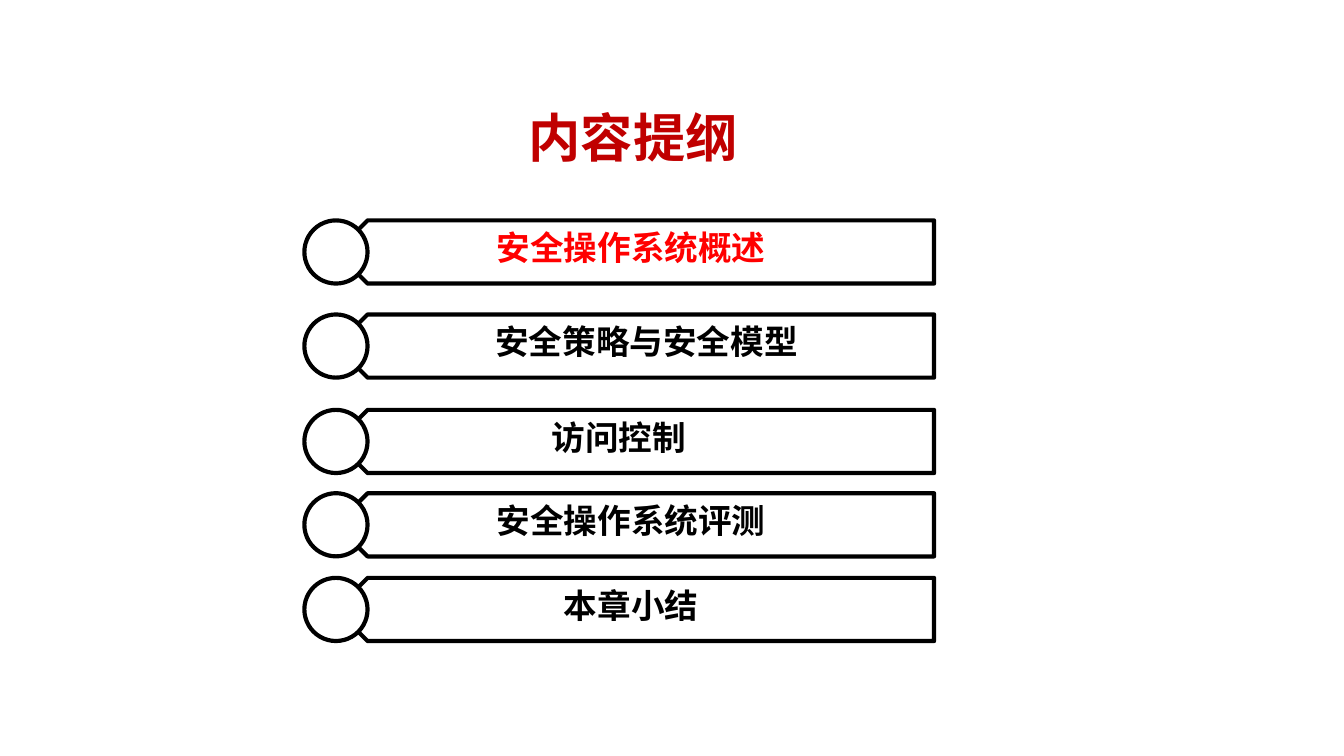
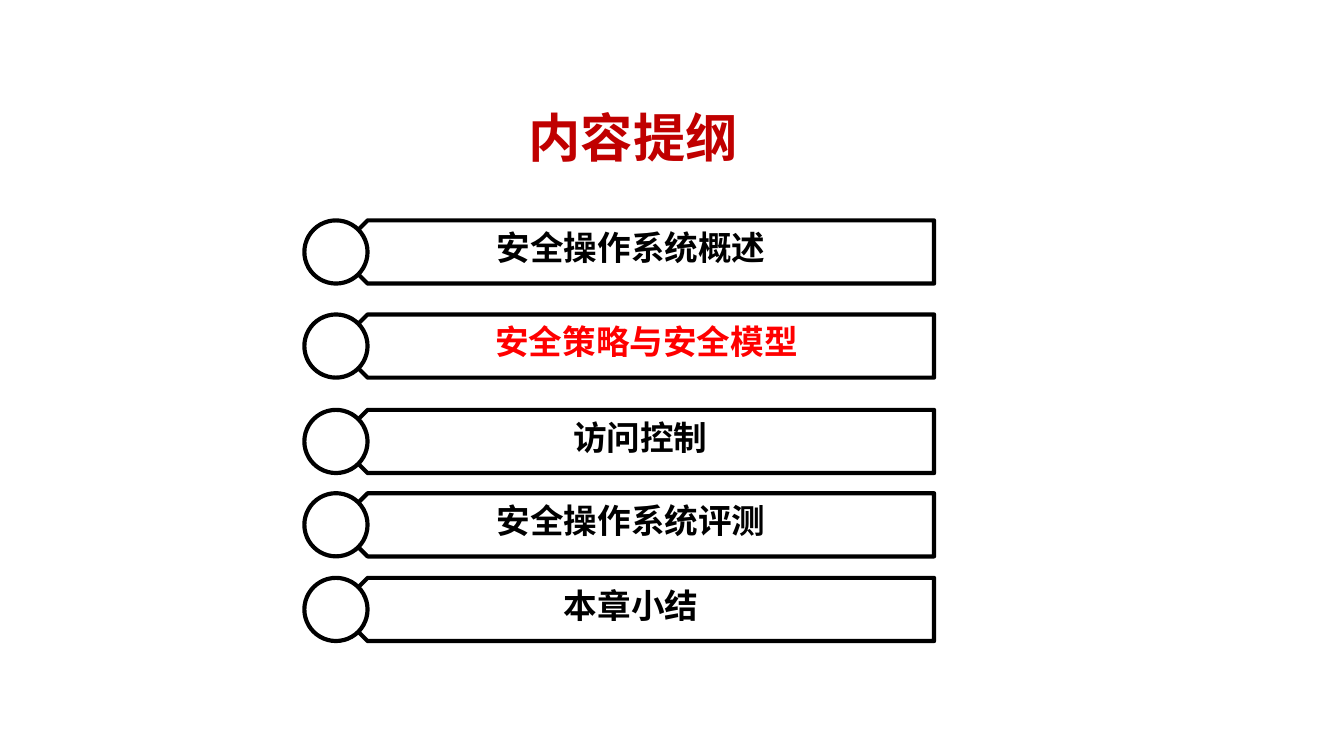
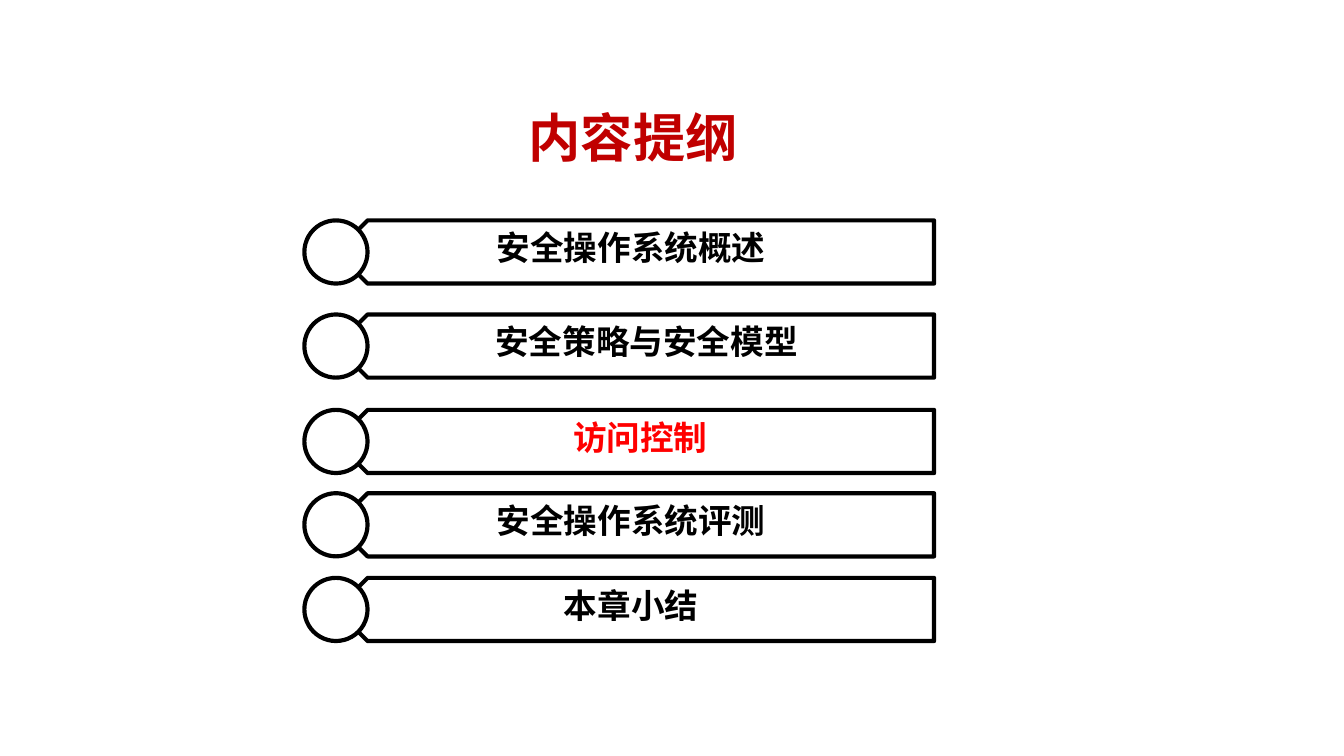
from dataclasses import dataclass

from lxml.etree import SubElement
from pptx import Presentation
from pptx.dml.color import RGBColor
from pptx.enum.shapes import MSO_SHAPE as Shape
from pptx.enum.text import MSO_ANCHOR as Anchor
from pptx.enum.text import MSO_AUTO_SIZE as AutoSize
from pptx.enum.text import PP_ALIGN as Align
from pptx.oxml.ns import qn
from pptx.util import Inches, Pt

WHITE = "FFFFFF"
BLACK = "000000"
TITLE_RED = "C00000"
CURRENT_RED = "FF0000"
TITLE_FONT = "Arial"
LABEL_FONT = "Noto Sans CJK SC"

BAND_LEFT = 2.5
BAND_WIDTH = 4.45
BAND_HEIGHT = 0.47
LABEL_HEIGHT = 0.4


@dataclass(frozen=True)
class Topic:
    text: str
    top: float
    label_left: float = 3.52
    label_width: float = 2.35


TOPICS = [
    Topic("安全操作系统概述", 1.64),
    Topic("安全策略与安全模型", 2.34, label_width=2.58),
    Topic("访问控制", 3.05, 3.28, 2.97),
    Topic("安全操作系统评测", 3.67),
    Topic("本章小结", 4.3),
]
# The opening outline sets its third label slightly further left.
OPENING_TOPICS = [*TOPICS[:2], Topic("访问控制", 3.05, 3.12, 2.97), *TOPICS[3:]]
OUTLINES = [OPENING_TOPICS, TOPICS, TOPICS]


def color(value: str) -> RGBColor:
    return RGBColor.from_string(value)


def add_outlined(page, kind: Shape, left: float, top: float, width: float):
    shape = page.shapes.add_shape(
        kind, Inches(left), Inches(top), Inches(width), Inches(BAND_HEIGHT)
    )
    shape.shadow.inherit = False
    shape.fill.solid()
    shape.fill.fore_color.rgb = color(WHITE)
    shape.line.color.rgb = color(BLACK)
    shape.line.width = Pt(2.25)
    return shape


def add_text(page, text: str, left: float, top: float, width: float, height: float,
             size: int, font_name: str, font_color: str):
    """Add one centred bold line and return its text frame."""
    box = page.shapes.add_textbox(Inches(left), Inches(top), Inches(width), Inches(height))
    frame = box.text_frame
    frame.word_wrap = True
    para = frame.paragraphs[0]
    para.alignment = Align.CENTER
    span = para.add_run()
    span.text = text
    font = span.font
    font.size = Pt(size)
    font.bold = True
    font.color.rgb = color(font_color)
    font.name = font_name
    if font_name == LABEL_FONT:
        SubElement(span._r.get_or_add_rPr(), qn("a:ea")).set("typeface", font_name)
    return frame


def add_title(page) -> None:
    frame = add_text(page, "内容提纲", 1.64, 0.55, 6.14, 0.94, 28, TITLE_FONT, TITLE_RED)
    frame.vertical_anchor = Anchor.MIDDLE


def add_topic(page, topic: Topic, is_current: bool) -> None:
    band = add_outlined(page, Shape.PENTAGON, BAND_LEFT, topic.top, BAND_WIDTH)
    band.rotation = 180
    add_outlined(page, Shape.OVAL, BAND_LEFT - BAND_HEIGHT / 2, topic.top, BAND_HEIGHT)
    frame = add_text(page, topic.text, topic.label_left, topic.top, topic.label_width,
                     LABEL_HEIGHT, 18, LABEL_FONT, CURRENT_RED if is_current else BLACK)
    frame.auto_size = AutoSize.SHAPE_TO_FIT_TEXT


def main() -> None:
    deck = Presentation()
    deck.slide_width = Inches(10)
    deck.slide_height = deck.slide_width * 9 // 16
    for current, topics in enumerate(OUTLINES):
        page = deck.slides.add_slide(deck.slide_layouts[6])
        add_title(page)
        for index, topic in enumerate(topics):
            add_topic(page, topic, index == current)
    deck.save("out.pptx")


if __name__ == "__main__":
    main()
